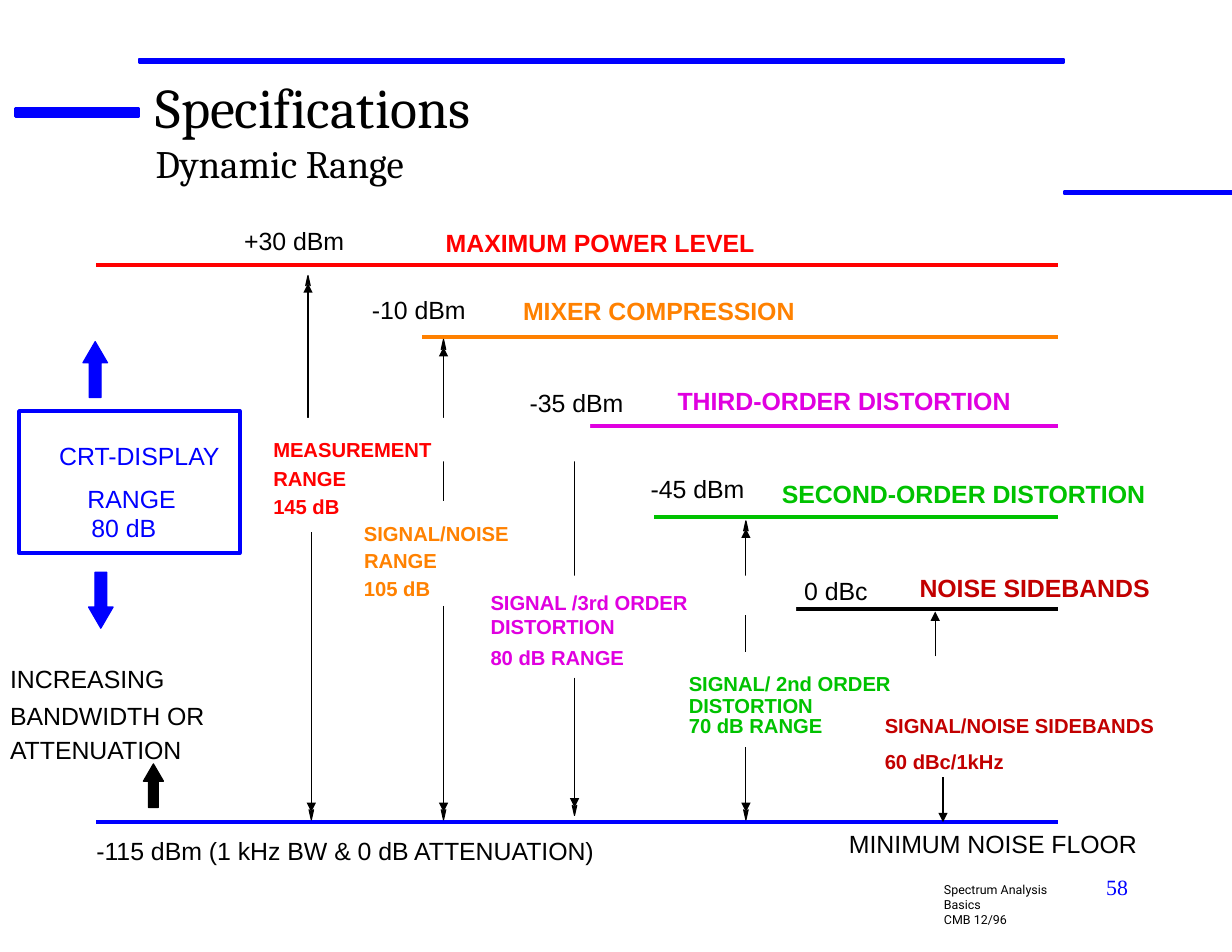
from typing import NamedTuple, Optional

from lxml import etree
from pptx import Presentation
from pptx.dml.color import RGBColor
from pptx.enum.shapes import MSO_CONNECTOR, MSO_SHAPE
from pptx.enum.text import MSO_ANCHOR, PP_ALIGN
from pptx.oxml.ns import qn
from pptx.util import Inches, Pt

LINE = MSO_CONNECTOR.STRAIGHT
RECT, UP, DOWN = MSO_SHAPE.RECTANGLE, MSO_SHAPE.UP_ARROW, MSO_SHAPE.DOWN_ARROW
TOP, BOTTOM = MSO_ANCHOR.TOP, MSO_ANCHOR.BOTTOM
LEFT, MID, RIGHT, FULL = PP_ALIGN.LEFT, PP_ALIGN.CENTER, PP_ALIGN.RIGHT, PP_ALIGN.JUSTIFY

BLACK = RGBColor(0x00, 0x00, 0x00)
WHITE = RGBColor(0xFF, 0xFF, 0xFF)
BLUE = RGBColor(0x00, 0x00, 0xFF)
RED = RGBColor(0xFF, 0x00, 0x00)
ORANGE = RGBColor(0xFF, 0x81, 0x00)
PINK = RGBColor(0xE0, 0x00, 0xE0)
GREEN = RGBColor(0x00, 0xC2, 0x00)
MAROON = RGBColor(0xC2, 0x00, 0x00)


class Box(NamedTuple):
    left: float
    top: float
    width: float
    height: float


class Run(NamedTuple):
    text: str
    size: int
    color: RGBColor = BLACK
    font: str = "Arial"
    bold: bool = False


class Label(NamedTuple):
    box: Box
    text: str
    color: RGBColor = BLACK
    align: PP_ALIGN = LEFT


class Level(NamedTuple):
    left: float
    y: float
    color: RGBColor


class Arrow(NamedTuple):
    x: float
    start: float
    end: float
    tip: Optional[float] = None


class Block(NamedTuple):
    kind: MSO_SHAPE
    box: Box
    color: RGBColor


BARS = [Box(0.14, 0.97, 1.1, 0.07), Box(1.24, 0.53, 8.26, 0.03), Box(9.5, 1.71, 1.5, 0.02)]

LEVELS = [
    Level(0.86, 2.37, RED),
    Level(3.77, 3.01, ORANGE),
    Level(4.29, 3.8, PINK),
    Level(5.84, 4.62, GREEN),
    Level(7.01, 5.44, BLACK),
    Level(0.86, 7.34, BLUE),
]

ARROWS = [
    Arrow(2.75, 3.76, 2.53, 2.46),
    Arrow(3.96, 4.47, 3.1, 3.03),
    Arrow(5.13, 5.18, 3.87),
    Arrow(6.66, 5.82, 4.72, 4.65),
    Arrow(8.35, 5.86, 5.46),
    Arrow(2.78, 4.75, 7.25, 7.32),
    Arrow(3.96, 5.41, 7.25, 7.32),
    Arrow(5.13, 6.05, 7.21, 7.28),
    Arrow(6.66, 6.67, 7.25, 7.32),
    Arrow(8.42, 6.94, 7.34),
]

BLOCKS = [
    Block(UP, Box(0.74, 3.05, 0.22, 0.5), BLUE),
    Block(DOWN, Box(0.79, 5.11, 0.22, 0.5), BLUE),
    Block(UP, Box(1.28, 6.82, 0.18, 0.39), BLACK),
]

MASKS = [
    Label(Box(2.44, 3.73, 2.83, 0.39), "MEASUREMENT", RED),
    Label(Box(4.38, 5.14, 2.73, 0.35), "SIGNAL /3rd ORDER", PINK),
]

PLAIN = [
    Label(Box(2.18, 1.65, 1.47, 0.63), "+30 dBm"),
    Label(Box(3.32, 2.27, 1.36, 0.63), "-10 dBm"),
    Label(Box(4.73, 3.33, 1.2, 0.4), "-35 dBm"),
    Label(Box(5.81, 3.87, 1.67, 0.63), "-45 dBm"),
    Label(Box(7.18, 4.78, 1.23, 0.63), "0 dBc"),
    Label(Box(0.86, 7.07, 7.62, 0.66), "-115 dBm (1 kHz BW & 0 dB ATTENUATION)"),
    Label(Box(7.58, 7.31, 3.09, 0.36), "MINIMUM NOISE FLOOR"),
    Label(Box(0.05, 3.81, 2.39, 0.39), "CRT-DISPLAY", BLUE, MID),
    Label(Box(0.54, 4.19, 1.27, 0.39), "RANGE", BLUE, MID),
    Label(Box(0.69, 4.28, 0.83, 0.56), "80 dB", BLUE, MID),
    Label(Box(0.09, 5.74, 2.55, 0.45), "INCREASING"),
    Label(Box(0.09, 5.61, 2.55, 0.91), "BANDWIDTH OR"),
    Label(Box(0.09, 6.38, 2.9, 0.45), "ATTENUATION"),
]

HEADS = [
    Label(Box(3.98, 1.67, 5.06, 0.63), "MAXIMUM POWER LEVEL", RED),
    Label(Box(4.67, 2.54, 3.57, 0.37), "MIXER COMPRESSION", ORANGE),
    Label(Box(6.05, 3.08, 4.53, 0.63), "THIRD-ORDER DISTORTION", PINK),
    Label(Box(6.98, 3.91, 3.61, 0.63), "SECOND-ORDER DISTORTION", GREEN),
    Label(Box(8.21, 4.75, 2.12, 0.63), "NOISE SIDEBANDS", MAROON),
]

SPANS = [
    Label(Box(2.44, 3.96, 1.43, 0.42), "RANGE", RED),
    Label(Box(2.44, 3.8, 1.13, 0.83), "145 dB", RED),
    Label(Box(3.25, 4.59, 1.86, 0.28), "SIGNAL/NOISE", ORANGE, FULL),
    Label(Box(3.25, 4.67, 1.45, 0.44), "RANGE", ORANGE, FULL),
    Label(Box(3.25, 4.67, 1.06, 0.69), "105 dB", ORANGE, FULL),
    Label(Box(4.38, 5.4, 1.89, 0.3), "DISTORTION", PINK),
    Label(Box(4.38, 5.41, 1.73, 0.57), "80 dB RANGE", PINK),
    Label(Box(6.15, 5.93, 2.74, 0.28), "SIGNAL/ 2nd ORDER", GREEN),
    Label(Box(6.15, 6.09, 1.76, 0.32), "DISTORTION", GREEN),
    Label(Box(6.15, 6.31, 1.75, 0.28), "70 dB RANGE", GREEN),
    Label(Box(7.9, 6.26, 2.77, 0.33), "SIGNAL/NOISE SIDEBANDS", MAROON),
    Label(Box(7.9, 5.93, 1.83, 0.98), "60 dBc/1kHz", MAROON),
]


def add_text(slide, box: Box, runs: list[Run], align=LEFT, anchor=TOP, inset=True, fill=None):
    shape = slide.shapes.add_textbox(*map(Inches, box))
    if fill is not None:
        shape.fill.solid()
        shape.fill.fore_color.rgb = fill
    frame = shape.text_frame
    frame.word_wrap = True
    frame.vertical_anchor = anchor
    if not inset:
        frame.margin_left = frame.margin_right = frame.margin_top = frame.margin_bottom = 0
    for i, item in enumerate(runs):
        para = frame.add_paragraph() if i else frame.paragraphs[0]
        para.alignment = align
        run = para.add_run()
        run.text = item.text
        font = run.font
        font.size, font.name, font.bold = Pt(item.size), item.font, item.bold
        font.color.rgb = item.color


def add_label(slide, label: Label, size: int, bold: bool, fill=None):
    run = Run(label.text, size, label.color, bold=bold)
    add_text(slide, label.box, [run], label.align, BOTTOM, False, fill)


def paint(shape, fill: Optional[RGBColor], color: RGBColor, width: float):
    shape.shadow.inherit = False
    if fill is None:
        shape.fill.background()
    else:
        shape.fill.solid()
        shape.fill.fore_color.rgb = fill
    shape.line.color.rgb = color
    shape.line.width = Pt(width)


def add_line(slide, start: tuple, end: tuple, color: RGBColor, width: float, head=False):
    line = slide.shapes.add_connector(LINE, *map(Inches, start + end))
    line.line.color.rgb = color
    line.line.width = Pt(width)
    if head:
        etree.SubElement(line.line._get_or_add_ln(), qn("a:tailEnd"), type="triangle")
    etree.SubElement(line._element.spPr, qn("a:effectLst"))


def add_arrow(slide, arrow: Arrow):
    x, end, tip = arrow.x, arrow.end, arrow.tip
    add_line(slide, (x, arrow.start), (x, end), BLACK, 0.75, True)
    if tip is not None:
        base = tip + (0.09 if end > tip else -0.09)
        form = slide.shapes.build_freeform(Inches(x), Inches(tip))
        points = [(x - 0.02, base), (x, end), (x + 0.02, base)]
        form.add_line_segments([(Inches(a), Inches(b)) for a, b in points], close=True)
        paint(form.convert_to_shape(), BLACK, BLACK, 0.75)


def add_block(slide, block: Block):
    shape = slide.shapes.add_shape(block.kind, *map(Inches, block.box))
    shape.adjustments[0], shape.adjustments[1] = 0.48, 0.86
    paint(shape, block.color, block.color, 0.75)


def main():
    """Build the dynamic range slide."""
    deck = Presentation()
    deck.slide_width, deck.slide_height = Inches(11), Inches(8.5)
    slide = deck.slides.add_slide(deck.slide_layouts[6])
    for bar in BARS:
        paint(slide.shapes.add_shape(RECT, *map(Inches, bar)), BLUE, BLUE, 1.5)
    foot = [Run(text, 8, font="Roboto") for text in ("Spectrum Analysis Basics", "CMB 12/96")]
    add_text(slide, Box(8.33, 7.83, 1.36, 0.37), foot)
    add_text(slide, Box(7.92, 7.75, 2.25, 0.58), [Run("58", 14, BLUE, "Times New Roman")], RIGHT)
    title = [Run("Specifications", 36, font="Cambria"), Run("Dynamic Range", 25, font="Cambria")]
    add_text(slide, Box(1.39, 0.65, 7.86, 1), title, inset=False)
    frame = slide.shapes.add_shape(RECT, *map(Inches, Box(0.17, 3.67, 1.97, 1.27)))
    paint(frame, None, BLUE, 2.5)
    for level in LEVELS:
        add_line(slide, (level.left, level.y), (9.45, level.y), level.color, 2.5)
    for arrow in ARROWS:
        add_arrow(slide, arrow)
    for block in BLOCKS:
        add_block(slide, block)
    for mask in MASKS:
        add_label(slide, mask, 13, True, WHITE)
    for group, size, bold in ((PLAIN, 16, False), (HEADS, 16, True), (SPANS, 13, True)):
        for label in group:
            add_label(slide, label, size, bold)
    deck.save("out.pptx")


if __name__ == "__main__":
    main()
